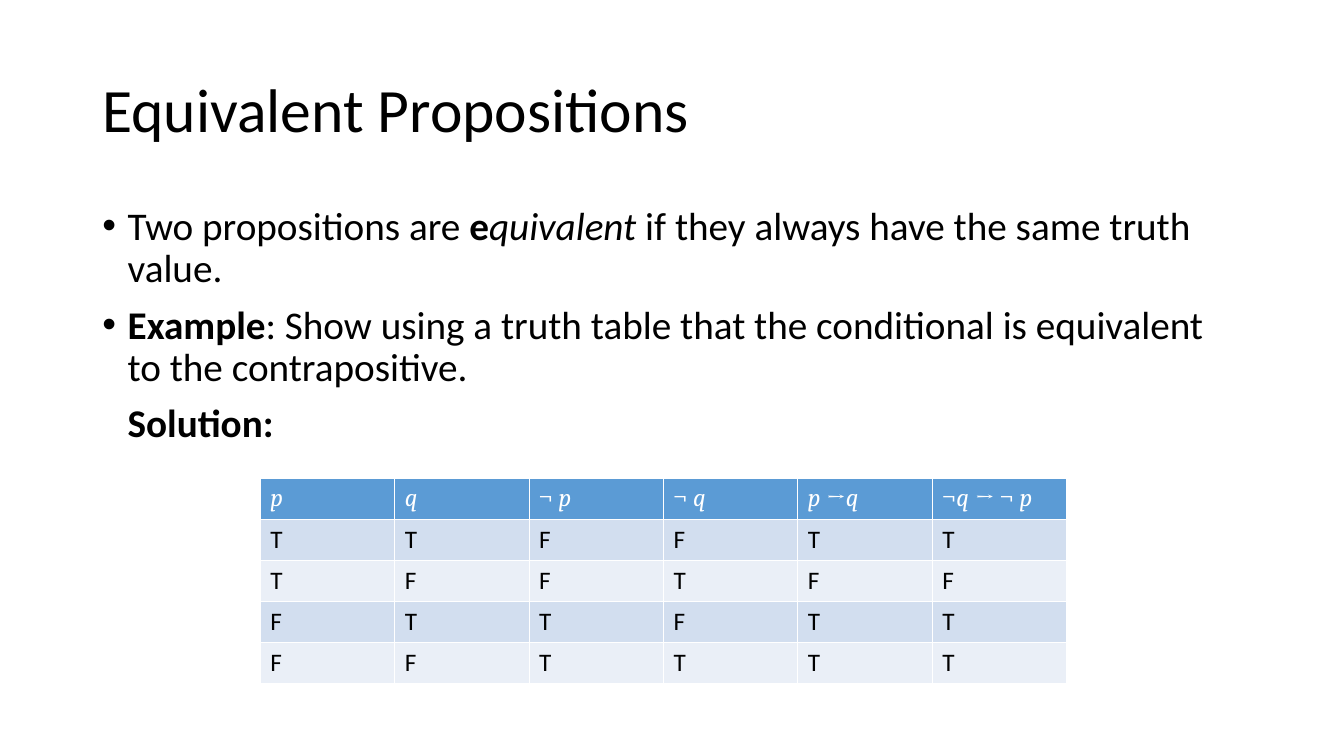
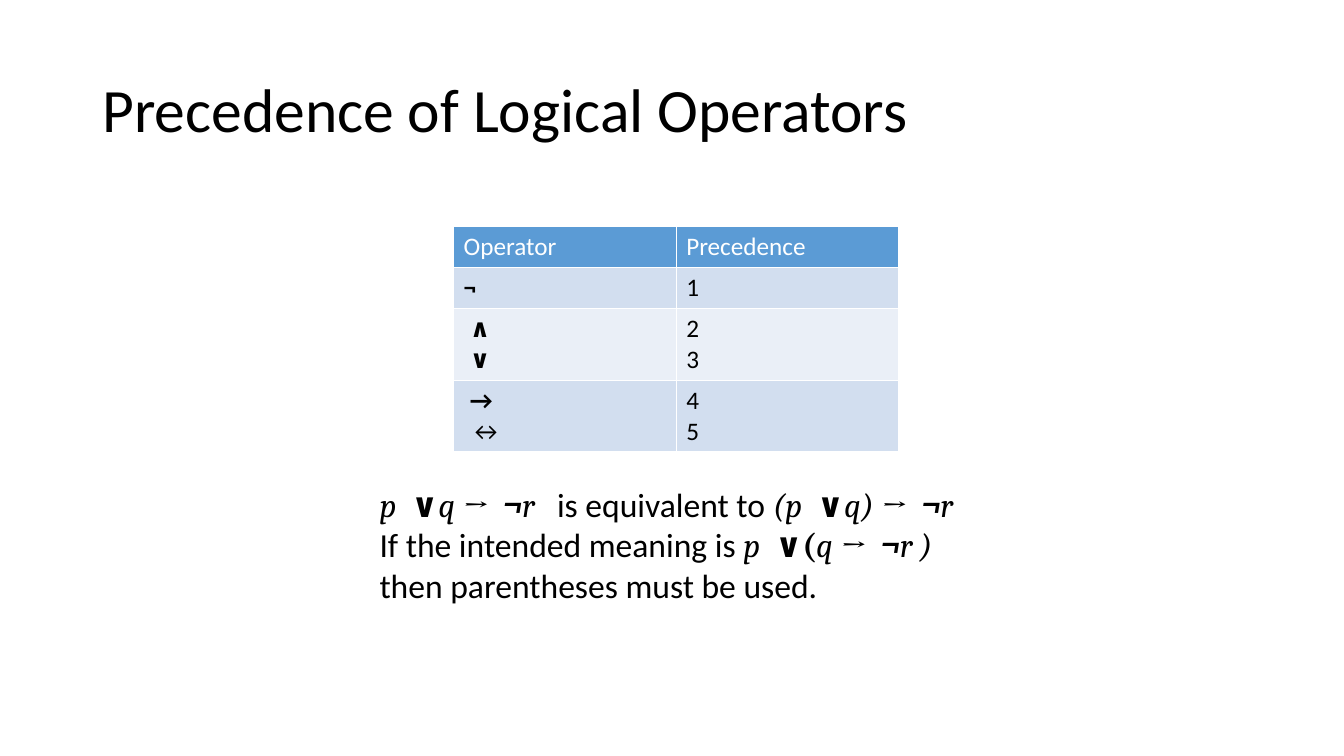
from lxml import etree
from pptx import Presentation
from pptx.dml.color import RGBColor
from pptx.enum.text import MSO_ANCHOR, MSO_AUTO_SIZE, PP_ALIGN
from pptx.oxml.ns import qn
from pptx.util import Pt

PX = 9525
MIDDLE = MSO_ANCHOR.MIDDLE
TOP = MSO_ANCHOR.TOP
NO_FIT = MSO_AUTO_SIZE.NONE
LEFT = PP_ALIGN.LEFT
COLORS = {
    "text": "000000",
    "header": "5B9BD5",
    "header_text": "FFFFFF",
    "odd_row": "D2DEEF",
    "even_row": "EAEFF7",
}
TEXT_FONT = "Calibri"
MATH_FONT = "Cambria"
TITLE_LAYOUT = 5
LIST_LAYOUT = 1
WIDE_SPACING = 265
MARGIN = 88
CONTENT_WIDTH = 1104
ROW_HEIGHT = 39


def color(name):
    return RGBColor.from_string(COLORS[name])


class Deck:
    def __init__(self):
        self.presentation = Presentation()
        self.presentation.slide_width = 1280 * PX
        self.presentation.slide_height = 720 * PX
        self.slide = None

    def place(self, shape, left, top, width, height):
        shape.left, shape.top = left * PX, top * PX
        shape.width, shape.height = width * PX, height * PX

    def add_slide(self, title, layout):
        self.slide = self.presentation.slides.add_slide(
            self.presentation.slide_layouts[layout])
        heading = self.slide.shapes.title
        self.place(heading, MARGIN, 38, CONTENT_WIDTH, 139)
        frame = heading.text_frame
        frame.vertical_anchor = MIDDLE
        frame.auto_size = NO_FIT
        self.set_text(frame.paragraphs[0], title, 44, line_spacing=0.9)

    def set_text(self, paragraph, content, size, ink="text", line_spacing=1.0):
        paragraph.alignment = LEFT
        paragraph.line_spacing = line_spacing
        font = paragraph.font
        font.name, font.size = TEXT_FONT, Pt(size)
        font.bold = font.italic = False
        font.color.rgb = color(ink)
        runs = [(content, "")] if isinstance(content, str) else content
        for text, style in runs:
            run = paragraph.add_run()
            run.text = text
            if "m" in style:
                run.font.name = MATH_FONT
            if "b" in style:
                run.font.bold = True
            if "i" in style:
                run.font.italic = True
            if "w" in style:
                run._r.get_or_add_rPr().set("spc", str(WIDE_SPACING * style.count("w")))

    def indent(self, paragraph, left, first=0, bullet=None):
        properties = paragraph._p.get_or_add_pPr()
        properties.set("marL", str(left * PX))
        properties.set("indent", str(first * PX))
        if bullet:
            etree.SubElement(properties, qn("a:buChar")).set("char", bullet)
        else:
            etree.SubElement(properties, qn("a:buNone"))

    def paragraphs(self, frame, count):
        return [frame.paragraphs[0]] + [frame.add_paragraph() for _ in range(count - 1)]

    def add_list(self, items, top, height):
        body = self.slide.placeholders[1]
        self.place(body, MARGIN, top, CONTENT_WIDTH, height)
        frame = body.text_frame
        frame.auto_size = NO_FIT
        frame.vertical_anchor = TOP
        for index, (paragraph, (bullet, content)) in enumerate(
                zip(self.paragraphs(frame, len(items)), items)):
            self.indent(paragraph, 24, -24 if bullet else 0, bullet)
            paragraph.space_before = Pt(10 if index else 0)
            self.set_text(paragraph, content, 28, line_spacing=0.9)

    def add_table(self, rows, left, top, column_width, heights):
        columns = len(rows[0])
        table = self.slide.shapes.add_table(
            len(rows), columns, left * PX, top * PX,
            column_width * columns * PX, sum(heights) * PX).table
        for column in table.columns:
            column.width = column_width * PX
        for row_index, (row, height) in enumerate(zip(rows, heights)):
            table.rows[row_index].height = height * PX
            band = "odd_row" if row_index % 2 else "even_row"
            ink = "text" if row_index else "header_text"
            for column_index, lines in enumerate(row):
                cell = table.cell(row_index, column_index)
                cell.fill.solid()
                cell.fill.fore_color.rgb = color(band if row_index else "header")
                for paragraph, (content, offset) in zip(
                        self.paragraphs(cell.text_frame, len(lines)), lines):
                    if offset:
                        self.indent(paragraph, offset)
                    self.set_text(paragraph, content, 18, ink)

    def add_text(self, lines, left, top, width, height):
        frame = self.slide.shapes.add_textbox(
            left * PX, top * PX, width * PX, height * PX).text_frame
        frame.word_wrap = True
        for paragraph, content in zip(self.paragraphs(frame, len(lines)), lines):
            self.set_text(paragraph, content, 24)


def single(content):
    return [(content, 0)]


def build_equivalence(deck):
    deck.add_slide("Equivalent Propositions", LIST_LAYOUT)
    deck.add_list([
        ("•", [("Two propositions are ", ""), ("e", "b"), ("quivalent ", "i"),
               ("if they always have the same truth value.", "")]),
        ("•", [("Example", "b"),
               (": Show using a truth table that the conditional is equivalent "
                "to the contrapositive.", "")]),
        (None, [("Solution:", "b")]),
    ], 192, 457)
    propositions = [
        [("p", "mi")],
        [("q", "mi")],
        [("¬ ", "m"), ("p", "mi")],
        [("¬ ", "m"), ("q", "mi")],
        [("p ", "mi"), ("→", "m"), ("q", "mi")],
        [("¬", "m"), ("q ", "mi"), ("→ ¬ ", "m"), ("p", "mi")],
    ]
    truth_values = ["TTFFTT", "TFFTFF", "FTTFTT", "FFTTTT"]
    rows = [[single(content) for content in row]
            for row in [propositions, *truth_values]]
    deck.add_table(rows, 248, 456, 128, [ROW_HEIGHT] * len(rows))


def build_precedence(deck):
    deck.add_slide("Precedence of Logical Operators", TITLE_LAYOUT)
    deck.add_table([
        [single("Operator"), single("Precedence")],
        [single([("¬", "b")]), single("1")],
        [[([("∧", "b")], 6), ([("∨", "b")], 6)], [("2", 0), ("3", 0)]],
        [[([("→", "b")], 6), ("↔", 6)], [("4", 0), ("5", 0)]],
    ], 432, 216, 212, [ROW_HEIGHT, ROW_HEIGHT, 68, 68])
    p = ("p ", "miw")
    implies_not = [("→ ", "mbiw"), ("¬", "mbi")]
    deck.add_text([
        [p, ("∨", "mb"), ("q ", "mi"), *implies_not, ("r ", "miww"),
         ("is equivalent to ", ""), ("(", "mi"), p, ("∨", "mb"), ("q) ", "mi"),
         *implies_not, ("r", "mi")],
        [("If the intended meaning is ", ""), p, ("∨(", "mb"), ("q ", "mi"),
         *implies_not, ("r )", "mi")],
        "then parentheses must be used.",
    ], 352, 456, 600, 203)


def main():
    deck = Deck()
    build_equivalence(deck)
    build_precedence(deck)
    deck.presentation.save("out.pptx")


if __name__ == "__main__":
    main()
